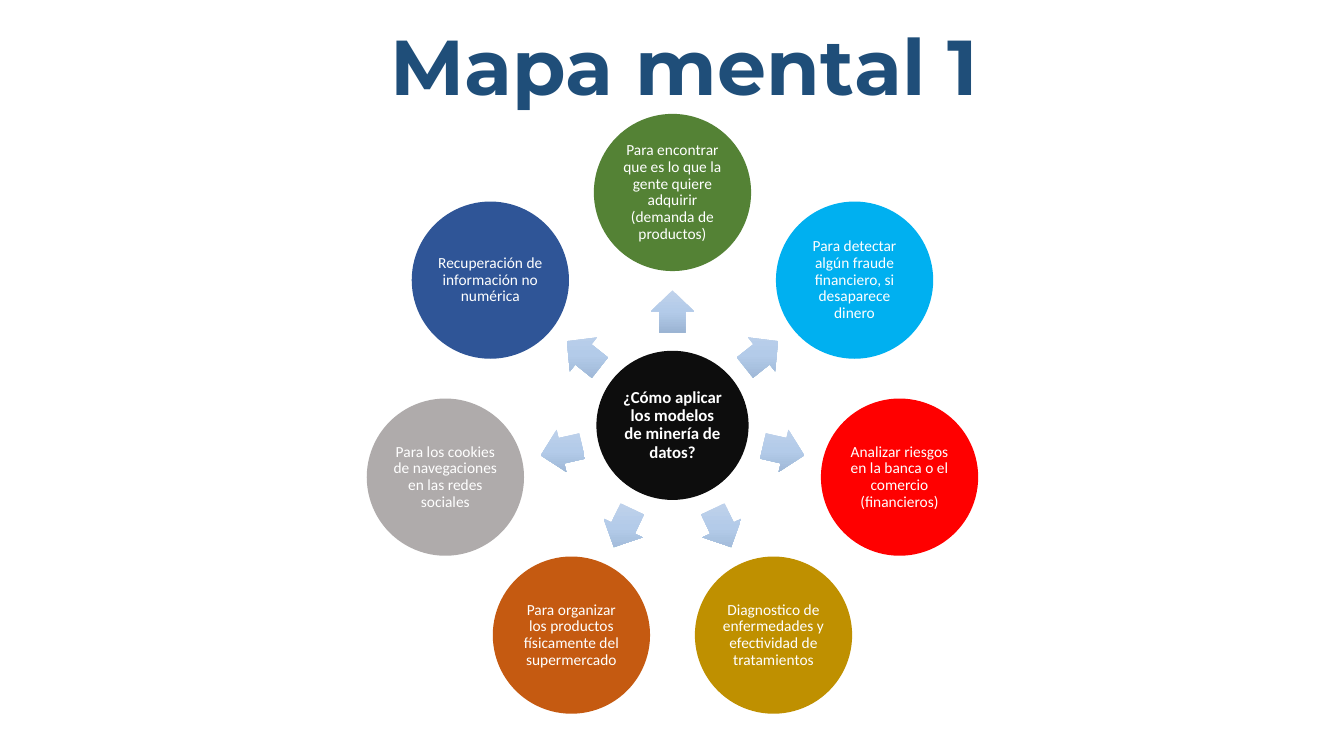
import math
from dataclasses import dataclass

from lxml import etree
from pptx import Presentation
from pptx.dml.color import RGBColor
from pptx.enum import shapes, text
from pptx.oxml.ns import qn
from pptx.util import Inches, Pt


@dataclass(frozen=True)
class Theme:
    title_font: str = "Montserrat"
    body_font: str = "Calibri"
    title_size: float = 55.5
    hub_size: float = 12
    topic_size: float = 11
    title: str = "1F4E79"
    hub: str = "0D0D0D"
    light: str = "FFFFFF"
    arrow: tuple = ((0, "C0D2EB"), (50, "B3CBE9"), (100, "9BB4D3"))


THEME = Theme()

TOPICS = [
    ("Para encontrar que es lo que la gente quiere adquirir (demanda de productos)", "548235"),
    ("Para detectar algún fraude financiero, si desaparece dinero", "00B0F0"),
    ("Analizar riesgos en la banca o el comercio (financieros)", "FF0000"),
    ("Diagnostico de enfermedades y efectividad de tratamientos", "BF9000"),
    ("Para organizar los productos físicamente del supermercado", "C55A11"),
    ("Para los cookies de navegaciones en las redes sociales", "AFABAB"),
    ("Recuperación de información no numérica", "2F5597"),
]


def write(tf, content, size, font, color, bold, spacing):
    tf.word_wrap = True
    tf.text = content
    p = tf.paragraphs[0]
    p.alignment = text.PP_ALIGN.CENTER
    p.line_spacing = spacing
    r = p.runs[0]
    r.font.name = font
    r.font.size = Pt(size)
    r.font.bold = bold
    r.font.color.rgb = RGBColor.from_string(color)


def add_centered(s, kind, cx, cy, width, height):
    sp = s.shapes.add_shape(kind, Inches(cx - width / 2), Inches(cy - height / 2),
                            Inches(width), Inches(height))
    sp.shadow.inherit = False
    sp.line.fill.background()
    return sp


def add_circle(s, cx, cy, width, height, color, content, size, bold=False):
    sp = add_centered(s, shapes.MSO_SHAPE.OVAL, cx, cy, width, height)
    sp.fill.solid()
    sp.fill.fore_color.rgb = RGBColor.from_string(color)
    tf = sp.text_frame
    tf.margin_left = tf.margin_right = tf.margin_top = tf.margin_bottom = Inches(0.02)
    tf.vertical_anchor = text.MSO_ANCHOR.MIDDLE
    write(tf, content, size, THEME.body_font, THEME.light, bold, 0.9)


def add_arrow(s, cx, cy, angle):
    sp = add_centered(s, shapes.MSO_SHAPE.RIGHT_ARROW, cx, cy, 0.42, 0.43)
    sp.adjustments[0] = 0.6
    sp.adjustments[1] = 0.5
    sp.rotation = angle % 360
    sp.fill.gradient()
    grad = sp.fill._xPr.find(qn("a:gradFill"))
    grad.set("rotWithShape", "0")
    for child in list(grad):
        grad.remove(child)
    stops = etree.SubElement(grad, qn("a:gsLst"))
    for position, color in THEME.arrow:
        stop = etree.SubElement(stops, qn("a:gs"), pos=str(position * 1000))
        etree.SubElement(stop, qn("a:srgbClr"), val=color)
    etree.SubElement(grad, qn("a:lin"), ang="5400000", scaled="0")


def add_title(s, left, top, width, height):
    tf = s.shapes.add_textbox(Inches(left), Inches(top), Inches(width), Inches(height)).text_frame
    tf.vertical_anchor = text.MSO_ANCHOR.BOTTOM
    write(tf, "Mapa mental 1", THEME.title_size, THEME.title_font, THEME.title, True, 0.7)


def add_mind_map(s, cx, cy, topic_radius, arrow_radius):
    add_circle(s, cx, cy, 1.51, 1.48, THEME.hub,
               "¿Cómo aplicar los modelos de minería de datos?", THEME.hub_size, True)
    for i, (content, color) in enumerate(TOPICS):
        angle = 360 * i / len(TOPICS) - 90
        dx, dy = math.cos(math.radians(angle)), math.sin(math.radians(angle))
        add_arrow(s, cx + arrow_radius * dx, cy + arrow_radius * dy, angle)
        add_circle(s, cx + topic_radius * dx, cy + topic_radius * dy, 1.56, 1.56,
                   color, content, THEME.topic_size)


def main():
    prs = Presentation()
    prs.slide_width, prs.slide_height = Inches(13.33), Inches(7.5)
    s = prs.slides.add_slide(prs.slide_layouts[6])
    add_title(s, 1.04, 0.36, 11.5, 0.77)
    add_mind_map(s, 6.67, 4.22, 2.31, 1.13)
    prs.save("out.pptx")


if __name__ == "__main__":
    main()
